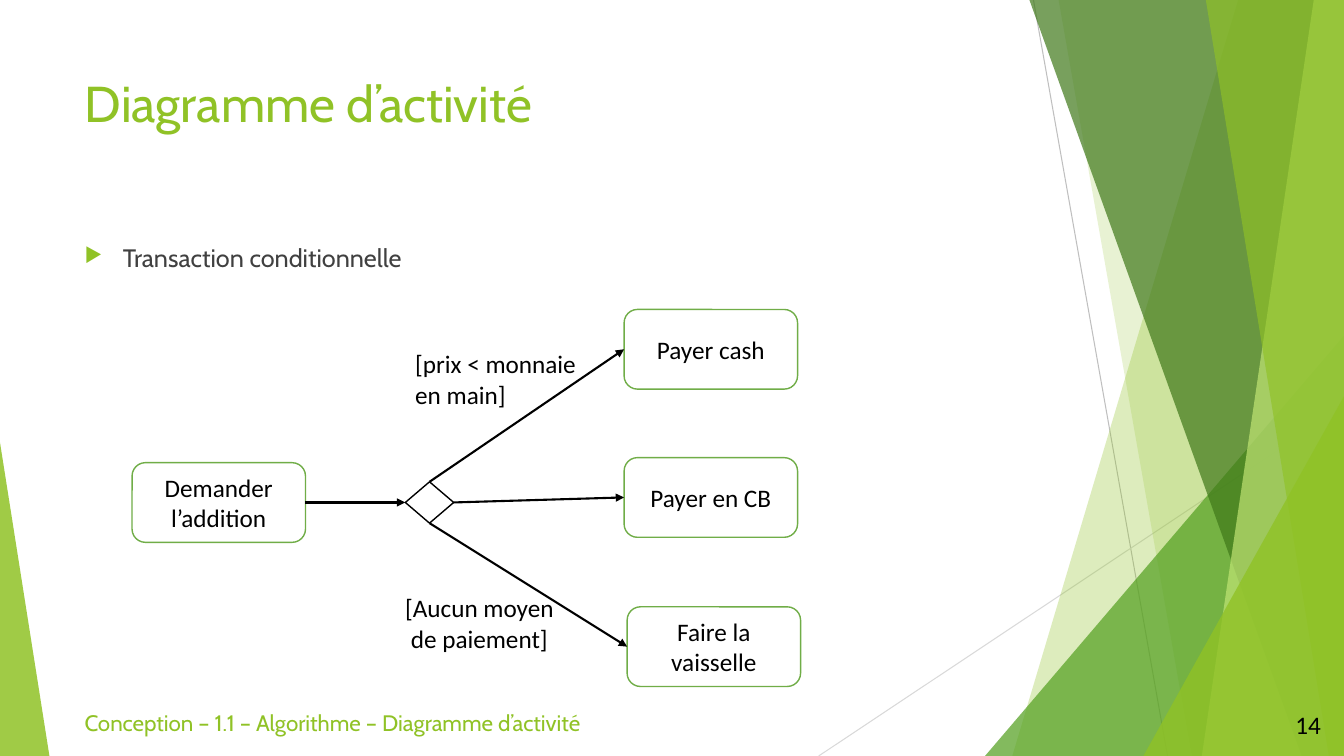
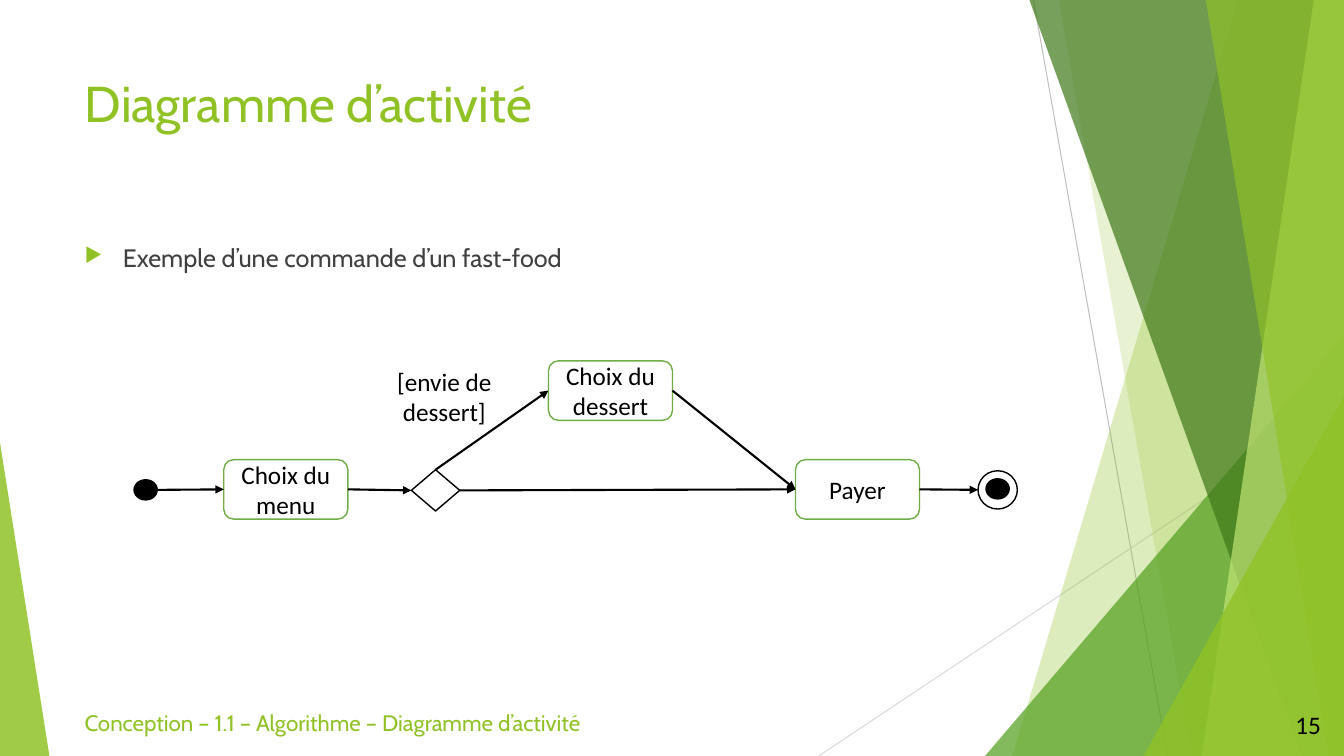
from dataclasses import dataclass
from typing import NamedTuple

from lxml.etree import SubElement
from pptx import Presentation
from pptx.dml.color import RGBColor
from pptx.enum.shapes import MSO_CONNECTOR, MSO_SHAPE as Preset
from pptx.enum.text import MSO_ANCHOR as Anchor, MSO_AUTO_SIZE as AutoSize, PP_ALIGN as Align
from pptx.oxml.ns import qn
from pptx.util import Inches, Pt

# Shared look
COLORS = {
    "lime": "90C226", "green": "54A021", "forest": "3F7819", "pale": "C0E474",
    "border": "70AD47", "ink": "000000", "body": "404040", "white": "FFFFFF",
    "gray": "BFBFBF", "light_gray": "D9D9D9",
}
STYLES = {
    "title": ({"name": "Cabin", "size": Pt(36), "bold": False}, "lime"),
    "topic": ({"name": "Cabin", "size": Pt(18)}, "body"),
    "footer": ({"name": "Cabin", "size": Pt(16)}, "lime"),
    "diagram": ({"name": "Calibri", "size": Pt(18)}, "ink"),
}
SLIDE_W, SLIDE_H = 13.33, 7.5
MARGIN = 0.74
TITLE = "Diagramme d’activité"
FOOTER = "Conception – 1.1 – Algorithme – Diagramme d’activité"


class Box(NamedTuple):
    left: float
    top: float
    width: float
    height: float

    def lengths(self) -> list:
        return [Inches(value) for value in self]

    def side(self, name: str) -> tuple:
        middle_x, middle_y = self.left + self.width / 2, self.top + self.height / 2
        return {
            "top": (middle_x, self.top),
            "left": (self.left, middle_y),
            "bottom": (middle_x, self.top + self.height),
            "right": (self.left + self.width, middle_y),
        }[name]


class Facet(NamedTuple):
    points: list
    color: str
    opacity: int


@dataclass
class Node:
    box: Box
    lines: tuple = ()
    preset: Preset = Preset.ROUNDED_RECTANGLE
    fill: str = "white"
    border: str = "border"


class Flow(NamedTuple):
    source: str
    exit: str
    target: str
    entry: str = "left"


class Guard(NamedTuple):
    box: Box
    lines: tuple


@dataclass
class Activity:
    number: int
    topic: str
    nodes: dict
    flows: list
    guards: list


RIGHT_BOTTOM = (SLIDE_W, SLIDE_H)


def band(top_x: float, bottom_x: float) -> list:
    return [(top_x, 0), (SLIDE_W, 0), RIGHT_BOTTOM, (bottom_x, SLIDE_H)]


def corner(bottom_x: float, right_y: float) -> list:
    return [(bottom_x, SLIDE_H), (SLIDE_W, right_y), RIGHT_BOTTOM]


FACETS = [
    Facet(band(12.28, 10.04), "lime", 30),
    Facet(band(10.5, 11.82), "lime", 20),
    Facet(corner(9.77, 3.33), "green", 72),
    Facet(band(10.21, 12.91), "forest", 70),
    Facet(band(13.03, 11.92), "pale", 70),
    Facet(band(11.96, 13.18), "lime", 65),
    Facet(corner(11.34, 3.93), "lime", 80),
    Facet([(0, SLIDE_H), (0, 4.39), (0.49, SLIDE_H)], "lime", 85),
]


def rgb(color: str) -> RGBColor:
    return RGBColor.from_string(COLORS[color])


# Text
def write(frame, lines: tuple, style: str, align=Align.LEFT, anchor=Anchor.TOP, wrap=True) -> None:
    layout = {"word_wrap": wrap, "vertical_anchor": anchor, "auto_size": AutoSize.NONE}
    for name, value in layout.items():
        setattr(frame, name, value)
    font_format, color = STYLES[style]
    for index, line in enumerate(lines):
        paragraph = frame.add_paragraph() if index else frame.paragraphs[0]
        paragraph.alignment = align
        run = paragraph.add_run()
        run.text = line
        for name, value in font_format.items():
            setattr(run.font, name, value)
        run.font.color.rgb = rgb(color)


def add_text(slide, box: Box, lines: tuple, style: str, **options):
    frame = slide.shapes.add_textbox(*box.lengths()).text_frame
    write(frame, lines, style, **options)
    return frame


def add_bullet(paragraph) -> None:
    paragraph.space_before = Pt(10)
    properties = paragraph._p.get_or_add_pPr()
    indent = Inches(0.38)
    properties.set("marL", str(indent))
    properties.set("indent", str(-indent))
    color = SubElement(properties, qn("a:buClr"))
    SubElement(color, qn("a:srgbClr"), val=COLORS["lime"])
    SubElement(properties, qn("a:buSzPct"), val="80000")
    SubElement(properties, qn("a:buChar"), char="▶")


# Lines and shapes
def add_line(slide, start: tuple, end: tuple, color: str, width: float, arrow: bool = False):
    ends = [Inches(value) for value in (*start, *end)]
    line = slide.shapes.add_connector(MSO_CONNECTOR.STRAIGHT, *ends)
    line.line.color.rgb = rgb(color)
    line.line.width = Pt(width)
    if arrow:
        SubElement(line.line._get_or_add_ln(), qn("a:tailEnd"), type="triangle")
    SubElement(line._element.spPr, qn("a:effectLst"))
    return line


def add_facet(slide, facet: Facet) -> None:
    points = [(Inches(x), Inches(y)) for x, y in facet.points]
    outline = slide.shapes.build_freeform(*points[0])
    outline.add_line_segments(points[1:])
    shape = outline.convert_to_shape()
    shape.shadow.inherit = False
    shape.line.fill.background()
    shape.fill.solid()
    shape.fill.fore_color.rgb = rgb(facet.color)
    color = shape._element.spPr.find(qn("a:solidFill")).find(qn("a:srgbClr"))
    SubElement(color, qn("a:alpha"), val=str(facet.opacity * 1000))


def add_node(slide, node: Node):
    shape = slide.shapes.add_shape(node.preset, *node.box.lengths())
    shape.shadow.inherit = False
    shape.fill.solid()
    shape.fill.fore_color.rgb = rgb(node.fill)
    shape.line.color.rgb = rgb(node.border)
    shape.line.width = Pt(1)
    write(shape.text_frame, node.lines, "diagram", align=Align.CENTER, anchor=Anchor.MIDDLE)
    return shape


def add_flow(slide, flow: Flow, nodes: dict, shapes: dict) -> None:
    source, target = nodes[flow.source], nodes[flow.target]
    arrow = add_line(slide, source.box.side(flow.exit), target.box.side(flow.entry),
                     "ink", 1.5, arrow=True)
    sites = ("top", "left", "bottom", "right")
    # Ovals number their connection sites differently, so they stay unglued
    if source.preset != Preset.OVAL:
        arrow.begin_connect(shapes[flow.source], sites.index(flow.exit))
    if target.preset != Preset.OVAL:
        arrow.end_connect(shapes[flow.target], sites.index(flow.entry))


# Slide frame and content
def add_frame(slide, number: int) -> None:
    add_line(slide, (10.25, 0), (11.58, SLIDE_H), "gray", 0.75)
    add_line(slide, (SLIDE_W, 4.03), (8.12, SLIDE_H), "light_gray", 0.75)
    for facet in FACETS:
        add_facet(slide, facet)
    title = slide.shapes.title
    title.left, title.top, title.width, title.height = Box(MARGIN, 0.67, 9.4, 1.44).lengths()
    write(title.text_frame, (TITLE,), "title")
    add_text(slide, Box(12.45, 6.99, 0.75, 0.4), (str(number),), "diagram",
             align=Align.RIGHT, anchor=Anchor.MIDDLE)
    add_text(slide, Box(MARGIN, 6.99, 6.55, 0.4), (FOOTER,), "footer")


def add_activity(deck, activity: Activity) -> None:
    slide = deck.slides.add_slide(deck.slide_layouts[5])
    add_frame(slide, activity.number)
    topic = add_text(slide, Box(MARGIN, 2.36, 9.4, 0.57), (activity.topic,), "topic")
    add_bullet(topic.paragraphs[0])
    shapes = {name: add_node(slide, node) for name, node in activity.nodes.items()}
    for flow in activity.flows:
        add_flow(slide, flow, activity.nodes, shapes)
    for guard in activity.guards:
        add_text(slide, guard.box, guard.lines, "diagram", wrap=False)


def large_step(left: float, top: float, *lines: str) -> Node:
    return Node(Box(left, top, 1.72, 0.79), lines)


def small_step(left: float, top: float, *lines: str) -> Node:
    return Node(Box(left, top, 1.23, 0.59), lines)


def decision(left: float, top: float) -> Node:
    return Node(Box(left, top, 0.48, 0.41), preset=Preset.DIAMOND, border="ink")


def dot(left: float, top: float) -> Node:
    return Node(Box(left, top, 0.23, 0.2), preset=Preset.OVAL, fill="ink", border="ink")


ACTIVITIES = [
    Activity(
        14, "Transaction conditionnelle",
        {
            "bill": large_step(1.31, 4.59, "Demander l’addition"),
            "choice": decision(4.02, 4.78),
            "cash": large_step(6.19, 3.07, "Payer cash"),
            "card": large_step(6.19, 4.54, "Payer en CB"),
            "dishes": large_step(6.22, 6.02, "Faire la vaisselle"),
        },
        [
            Flow("bill", "right", "choice"),
            Flow("choice", "top", "cash"),
            Flow("choice", "right", "card"),
            Flow("choice", "bottom", "dishes"),
        ],
        [
            Guard(Box(4.02, 3.41, 1.87, 0.71), ("[prix < monnaie", "en main]")),
            Guard(Box(3.92, 5.83, 1.69, 0.71), ("[Aucun moyen", " de paiement]")),
        ],
    ),
    Activity(
        15, "Exemple d’une commande d’un fast-food",
        {
            "start": dot(1.33, 4.76),
            "menu": small_step(2.22, 4.56, "Choix du", "menu"),
            "choice": decision(4.08, 4.66),
            "dessert": small_step(5.44, 3.58, "Choix du dessert"),
            "pay": small_step(7.89, 4.56, "Payer"),
            "end": Node(Box(9.7, 4.67, 0.39, 0.38), preset=Preset.OVAL, border="ink"),
            "end_core": dot(9.78, 4.75),
        },
        [
            Flow("start", "right", "menu"),
            Flow("menu", "right", "choice"),
            Flow("choice", "top", "dessert"),
            Flow("choice", "right", "pay"),
            Flow("dessert", "right", "pay"),
            Flow("pay", "right", "end"),
        ],
        [Guard(Box(3.84, 3.58, 1.15, 0.71), ("[envie de", " dessert]"))],
    ),
]


def main() -> None:
    deck = Presentation()
    deck.slide_width, deck.slide_height = Inches(SLIDE_W), Inches(SLIDE_H)
    for activity in ACTIVITIES:
        add_activity(deck, activity)
    deck.save("out.pptx")


if __name__ == "__main__":
    main()
